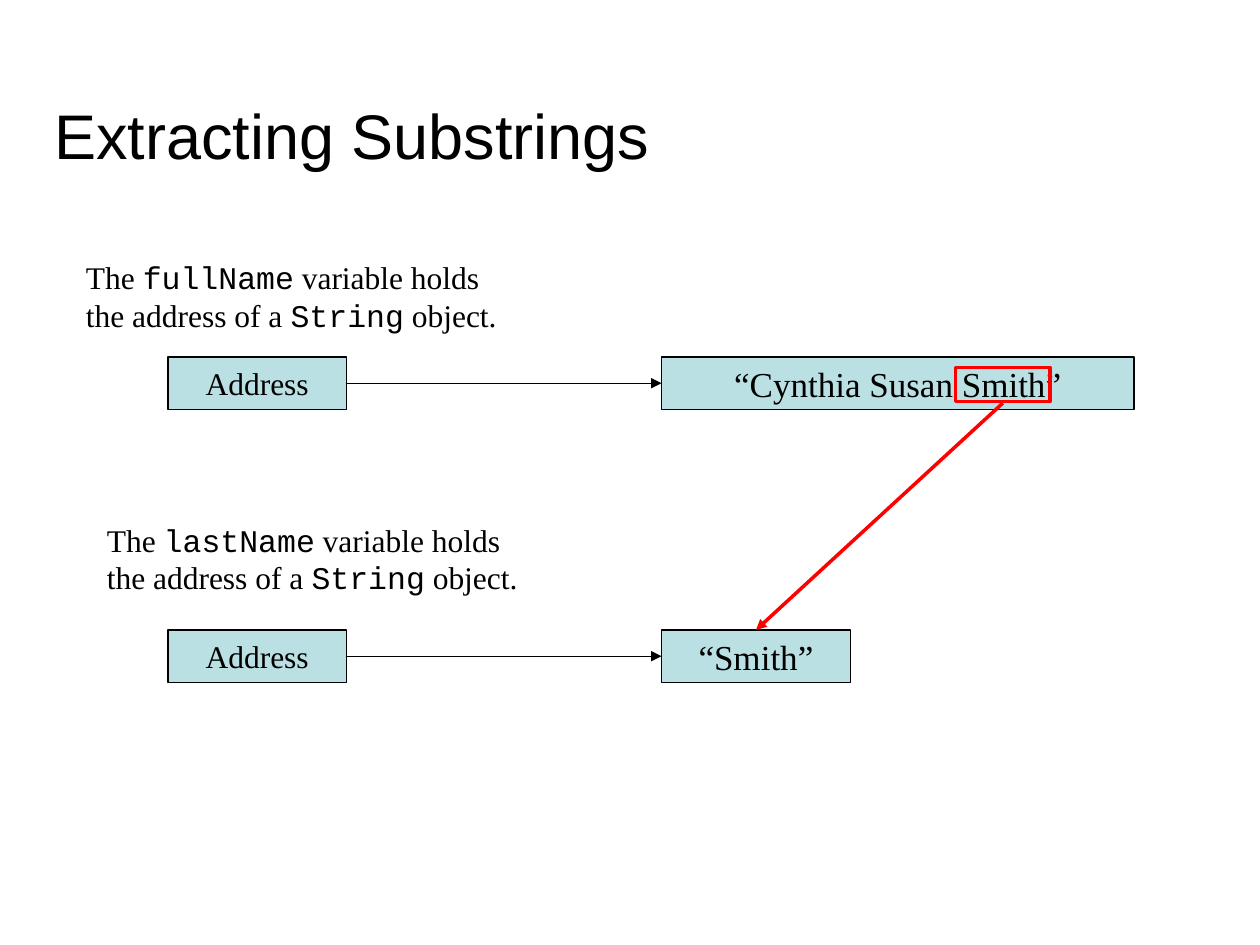
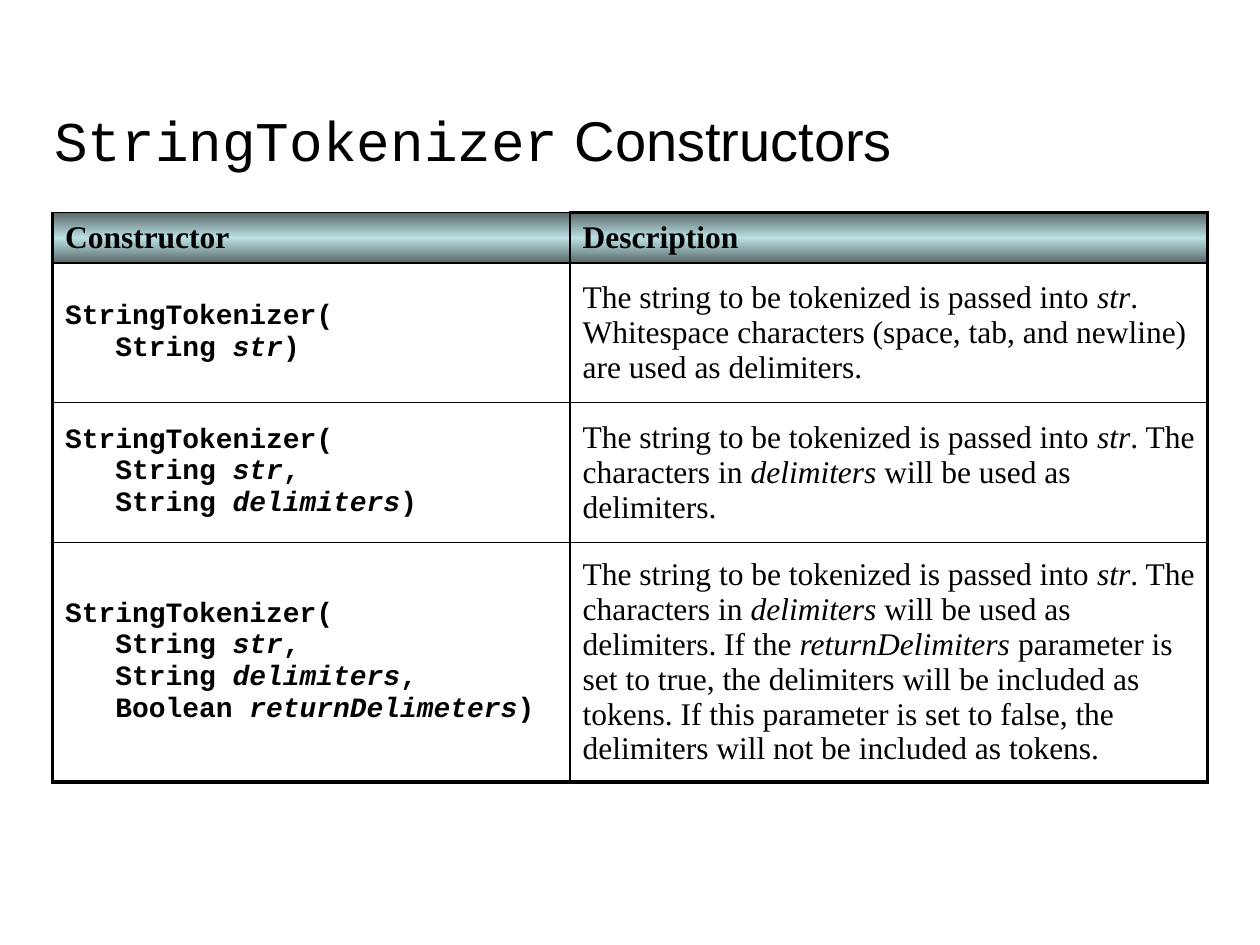
from copy import deepcopy
from lxml import etree
from pptx import Presentation
from pptx.dml.color import RGBColor
from pptx.enum.shapes import MSO_CONNECTOR, MSO_SHAPE
from pptx.enum.text import MSO_ANCHOR, MSO_AUTO_SIZE, PP_ALIGN
from pptx.oxml.ns import qn
from pptx.util import Inches, Pt

RECT = MSO_SHAPE.RECTANGLE
LINE = MSO_CONNECTOR.STRAIGHT
MIDDLE, BOTTOM = MSO_ANCHOR.MIDDLE, MSO_ANCHOR.BOTTOM
CENTER = PP_ALIGN.CENTER
GROW = MSO_AUTO_SIZE.SHAPE_TO_FIT_TEXT

COLORS = {"ink": "000000", "paper": "FFFFFF", "box": "BBE0E3",
          "shade": "576869", "mark": "FF0000"}
SANS, SERIF, MONO = "Arial", "Times New Roman", "Courier New"
THIN, THICK = 1, 2.25


def color(name):
    return RGBColor.from_string(COLORS[name])


def unit(count):
    return Inches(count / 12)


class Deck:
    def __init__(self):
        self.prs = Presentation()
        self.prs.slide_width, self.prs.slide_height = unit(120), unit(90)

    def start(self, title, size):
        self.slide = self.prs.slides.add_slide(self.prs.slide_layouts[6])
        fill = self.slide.background.fill
        fill.solid()
        fill.fore_color.rgb = color("paper")
        frame = self.text(title, 4, 4, 113, 13, size, SANS)
        frame.vertical_anchor = BOTTOM

    def fill_in(self, frame, text, size, face=SERIF, bold=False, code=True):
        para = frame.paragraphs[0]
        font = para.font
        font.name, font.size, font.bold = face, Pt(size), bold
        font.color.rgb = color("ink")
        for i, part in enumerate(text.split("*")):
            for j, line in enumerate(part.split("\n")):
                if j:
                    para.add_line_break()
                if line:
                    run = para.add_run()
                    run.text = line
                    if i % 2 and code:
                        run.font.name = MONO
                    elif i % 2:
                        run.font.italic = True
        return para

    def text(self, text, x, y, w, h, size=18, face=SERIF):
        box = self.slide.shapes.add_textbox(*map(unit, (x, y, w, h)))
        frame = box.text_frame
        frame.word_wrap = True
        self.fill_in(frame, text, size, face)
        return frame

    def note(self, text, x, y, w):
        self.text(text, x, y, w, 8.4).auto_size = GROW

    def frame(self, x, y, w, h, ink="ink", width=0.75):
        shape = self.slide.shapes.add_shape(RECT, *map(unit, (x, y, w, h)))
        shape.shadow.inherit = False
        shape.fill.background()
        shape.line.color.rgb = color(ink)
        shape.line.width = Pt(width)
        return shape

    def box(self, text, x, y, w, size):
        shape = self.frame(x, y, w, 5)
        shape.fill.solid()
        shape.fill.fore_color.rgb = color("box")
        frame = shape.text_frame
        frame.word_wrap = False
        frame.vertical_anchor = MIDDLE
        self.fill_in(frame, text, size).alignment = CENTER

    def arrow(self, x1, y1, x2, y2, ink="ink", width=0.75):
        line = self.slide.shapes.add_connector(LINE, *map(unit, (x1, y1, x2, y2)))
        line.line.color.rgb = color(ink)
        line.line.width = Pt(width)
        props = line._element.spPr
        etree.SubElement(props.find(qn("a:ln")), qn("a:tailEnd"), type="triangle")
        etree.SubElement(props, qn("a:effectLst"))

    def link(self, text, y, w):
        self.box("Address", 16, y, 17, 18)
        self.box(text, 63, y, w, 20)
        self.arrow(33, y + 2.5, 63, y + 2.5)

    def edge(self, cell, side, width):
        props = cell._tc.get_or_add_tcPr()
        line = etree.SubElement(props, qn("a:ln" + side), w=str(Pt(width)))
        fill = etree.SubElement(line, qn("a:solidFill"))
        etree.SubElement(fill, qn("a:srgbClr"), val=COLORS["ink"])

    def glow(self, cell):
        cell.fill.gradient()
        cell.fill.gradient_angle = 90
        stops = cell._tc.tcPr.find(".//" + qn("a:gsLst"))
        stops.append(deepcopy(stops[0]))
        marks = ((0, "shade"), (0.5, "box"), (1, "shade"))
        for stop, (place, name) in zip(cell.fill.gradient_stops, marks):
            stop.position = place
            stop.color.rgb = color(name)

    def table(self, rows, x, y, widths, heights):
        size = sum(widths), sum(heights)
        table = self.slide.shapes.add_table(
            len(rows), len(widths), *map(unit, (x, y, *size))).table
        table.first_row = table.horz_banding = False
        for col, width in zip(table.columns, widths):
            col.width = unit(width)
        for row, height in zip(table.rows, heights):
            row.height = unit(height)
        last = len(rows) - 1
        for r, row in enumerate(rows):
            for c, text in enumerate(row):
                cell = table.cell(r, c)
                cell.vertical_anchor = MIDDLE
                thick = {"L": c == 0, "R": c == 1,
                         "T": r == 0 and c == 1, "B": r == last}
                for side, heavy in thick.items():
                    self.edge(cell, side, THICK if heavy else THIN)
                if r == 0:
                    self.glow(cell)
                else:
                    cell.fill.background()
                code = r > 0 and c == 0
                self.fill_in(cell.text_frame, text, 16 if code else 18,
                             MONO if code else SERIF, r == 0 or c == 0, False)


def substrings(deck):
    deck.start("Extracting Substrings", 36)
    tail = " variable holds the address of a *String* object."
    deck.note("The *fullName*" + tail, 7, 24, 44)
    deck.link("“Cynthia Susan Smith”", 34, 45)
    deck.note("The *lastName*" + tail, 9, 49, 43)
    deck.link("“Smith”", 60, 18)
    deck.frame(91, 35, 9, 3.25, "mark", 2)
    deck.arrow(95.5, 38.4, 72, 60, "mark", 2)


def tokens(deck):
    deck.start("*StringTokenizer* Constructors", 32)
    head = "StringTokenizer(\n   String *str*"
    both = head + ",\n   String *delimiters*"
    passed = "The string to be tokenized is passed into *str*. "
    used = passed + "The characters in *delimiters* will be used as delimiters."
    rows = [
        ("Constructor", "Description"),
        (head + ")", passed + "Whitespace characters (space, tab, and newline) "
         "are used as delimiters."),
        (both + ")", used),
        (both + ",\n   Boolean *returnDelimeters*)",
         used + " If the *returnDelimiters* parameter is set to true, "
         "the delimiters will be included as tokens. If this parameter is set "
         "to false, the delimiters will not be included as tokens."),
    ]
    deck.table(rows, 5, 20.25, (49.3, 60.7), (4.7, 13.3, 13.3, 21.1))


def main():
    deck = Deck()
    substrings(deck)
    tokens(deck)
    deck.prs.save("out.pptx")


if __name__ == "__main__":
    main()
